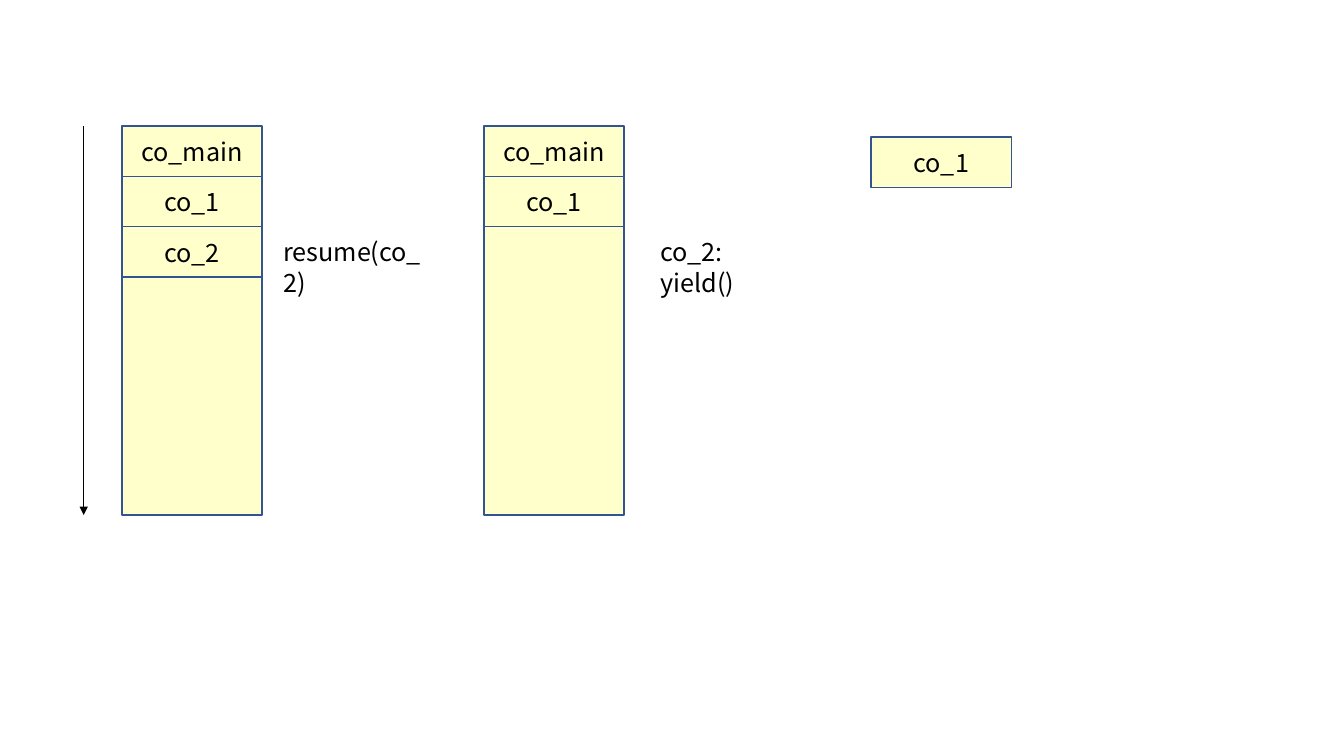
"""Build a slide of two coroutine stacks, before and after a yield."""
from lxml import etree
from pptx import Presentation
from pptx.dml.color import RGBColor
from pptx.enum.shapes import MSO_CONNECTOR, MSO_SHAPE
from pptx.enum.text import MSO_ANCHOR, PP_ALIGN
from pptx.oxml.ns import qn
from pptx.util import Inches, Pt

RECT, STRAIGHT = MSO_SHAPE.RECTANGLE, MSO_CONNECTOR.STRAIGHT
MIDDLE, CENTER, LEFT = MSO_ANCHOR.MIDDLE, PP_ALIGN.CENTER, PP_ALIGN.LEFT
COLORS = {k: RGBColor.from_string(v) for k, v in
          {"cell": "FFFFCC", "border": "325491", "ink": "000000"}.items()}
FONT = "Noto Sans CJK SC"
TOP, BOTTOM, COL_W, ROW_H = 1.25, 5.11, 1.39, 0.5


def write(sp, text, align):
    tf = sp.text_frame
    tf.word_wrap = True
    p = tf.paragraphs[0]
    p.text = text
    p.alignment = align
    p.font.name, p.font.size = FONT, Pt(18)
    p.font.color.rgb = COLORS["ink"]


def add_cell(shapes, x, y, h, text=""):
    sp = shapes.add_shape(RECT, Inches(x), Inches(y), Inches(COL_W), Inches(h))
    sp.shadow.inherit = False
    sp.fill.solid()
    sp.fill.fore_color.rgb = COLORS["cell"]
    sp.line.color.rgb = COLORS["border"]
    sp.line.width = Pt(1)
    if text:
        sp.text_frame.vertical_anchor = MIDDLE
        write(sp, text, CENTER)


prs = Presentation()
prs.slide_width, prs.slide_height = Inches(13.33), Inches(7.5)
s = prs.slides.add_slide(prs.slide_layouts[6])

stacks = [(1.21, ["co_main", "co_1", "co_2"]), (4.8, ["co_main", "co_1"])]
for x, names in stacks:
    group = s.shapes.add_group_shape()
    for row, name in enumerate(names):
        add_cell(group.shapes, x, TOP + row * ROW_H, ROW_H, name)
    free_top = TOP + len(names) * ROW_H
    add_cell(group.shapes, x, free_top, BOTTOM - free_top)

arrow = s.shapes.add_connector(STRAIGHT, Inches(0.83), Inches(TOP),
                               Inches(0.83), Inches(BOTTOM))
arrow.line.color.rgb = COLORS["ink"]
arrow.line.width = Pt(0.5)
etree.SubElement(arrow.line._get_or_add_ln(), qn("a:tailEnd"), type="triangle")
etree.SubElement(arrow._element.spPr, qn("a:effectLst"))

for x, w, call in [(2.71, 1.65, "resume(co_2)"), (6.45, 1.48, "co_2: yield()")]:
    label = s.shapes.add_textbox(Inches(x), Inches(2.3), Inches(w), Inches(0.4))
    write(label, call, LEFT)

add_cell(s.shapes, 8.64, 1.36, ROW_H, "co_1")

prs.save("out.pptx")
